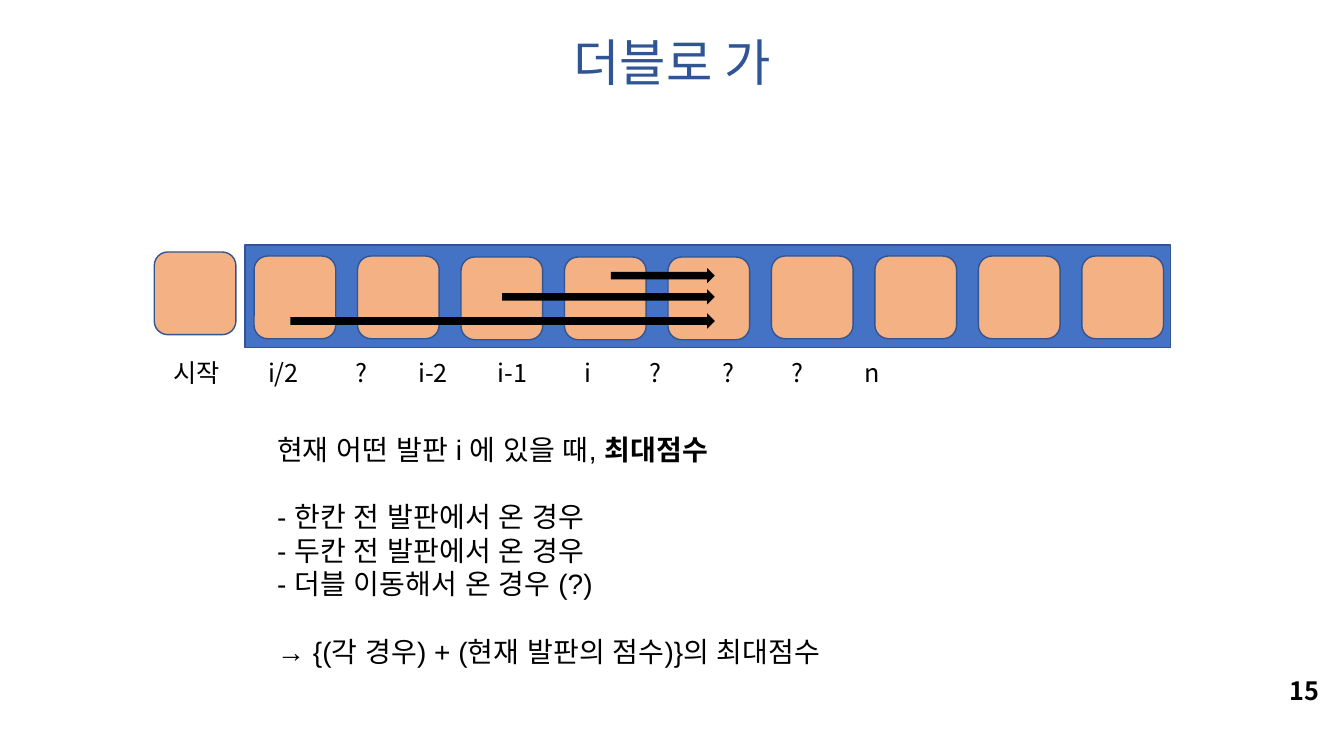
from pptx import Presentation
from pptx.dml.color import RGBColor
from pptx.enum.shapes import MSO_SHAPE as Kind
from pptx.enum.text import MSO_ANCHOR as Anchor, PP_ALIGN as Align
from pptx.oxml.ns import qn
from pptx.util import Inches, Pt
from lxml import etree

BLACK = RGBColor(0x00, 0x00, 0x00)
NAVY = RGBColor(0x2F, 0x55, 0x97)
EDGE = RGBColor(0x32, 0x54, 0x91)
BLUE = RGBColor(0x44, 0x72, 0xC4)
PEACH = RGBColor(0xF4, 0xB1, 0x83)
NOTO = "Noto Sans CJK KR"

PAD_W, PAD_H = 0.81, 0.82
PADS = 9
LABELS = ["시작", "i/2", "?", "i-2", "i-1", "i", "?", "?", "?", "n"]
# Tab stops of the labels, measured from the first one
STOPS = [0.94, 1.81, 2.43, 3.22, 4.08, 4.72, 5.45, 6.13, 6.86]
# Text and space before, in points
LINES = [
    ([("현재 어떤 발판 i 에 있을 때, ", False), ("최대점수", True)], 0),
    ([("- 한칸 전 발판에서 온 경우", False)], 24),
    ([("- 두칸 전 발판에서 온 경우", False)], 0),
    ([("- 더블 이동해서 온 경우 (?)", False)], 0),
    ([("→ {(각 경우) + (현재 발판의 점수)}의 최대점수", False)], 24),
]


def write(para, text, size=18, font=NOTO, color=BLACK, bold=False):
    run = para.add_run()
    run.text = text
    run.font.size = Pt(size)
    run.font.name = font
    run.font.bold = bold
    run.font.color.rgb = color
    east = etree.SubElement(run.font._element, qn("a:ea"))
    east.set("typeface", font)


def add_text(slide, left, top, width, height, wrap=True):
    box = slide.shapes.add_textbox(*map(Inches, (left, top, width, height)))
    box.text_frame.word_wrap = wrap
    return box.text_frame


def add_form(slide, kind, left, top, width, height, fill, line=None):
    form = slide.shapes.add_shape(
        kind, *map(Inches, (left, top, width, height)))
    form.shadow.inherit = False
    form.fill.solid()
    form.fill.fore_color.rgb = fill
    if line is None:
        form.line.fill.background()
    else:
        form.line.color.rgb = line
        form.line.width = Pt(1)


def add_title(slide, left, top, width, height):
    title = slide.shapes.title
    title.left, title.top, title.width, title.height = map(
        Inches, (left, top, width, height))
    frame = title.text_frame
    frame.vertical_anchor = Anchor.TOP
    para = frame.paragraphs[0]
    para.alignment = Align.CENTER
    para.line_spacing = 0.9
    write(para, "더블로 가", size=36, color=NAVY)


def add_board(slide, left, top, width, height):
    # Start pad and blue track
    add_form(slide, Kind.ROUNDED_RECTANGLE, left - 0.9, top + 0.07,
             PAD_W, PAD_H, PEACH, EDGE)
    add_form(slide, Kind.RECTANGLE, left, top, width, height, BLUE, EDGE)

    # Pads on the track; the middle three sit slightly lower
    first = left + 0.09
    step = (width - 0.16 - PAD_W) / (PADS - 1)
    for i in range(PADS):
        drop = 0.12 if i in (2, 3, 4) else 0.11
        add_form(slide, Kind.ROUNDED_RECTANGLE, first + i * step, top + drop,
                 PAD_W, PAD_H, PEACH, EDGE)

    # Jumps that all end on pad i
    tip = left + 4.66
    for drop, size in ((0.23, 1.03), (0.44, 2.11), (0.68, 4.21)):
        add_form(slide, Kind.RIGHT_ARROW, tip - size, top + drop,
                 size, 0.15, BLACK)


def add_labels(slide, left, top, width, height):
    para = add_text(slide, left, top, width, height).paragraphs[0]
    tabs = etree.SubElement(para._p.get_or_add_pPr(), qn("a:tabLst"))
    for stop in STOPS:
        tab = etree.SubElement(tabs, qn("a:tab"))
        tab.set("pos", str(Inches(stop)))
        tab.set("algn", "l")
    write(para, "\t".join(LABELS))


def add_notes(slide, left, top, width, height):
    frame = add_text(slide, left, top, width, height)
    for i, (parts, gap) in enumerate(LINES):
        para = frame.add_paragraph() if i else frame.paragraphs[0]
        if gap:
            para.space_before = Pt(gap)
        for text, bold in parts:
            write(para, text, size=20, font="Arial", bold=bold)


def add_number(slide, left, top, width, height):
    frame = add_text(slide, left, top, width, height, wrap=False)
    write(frame.paragraphs[0], "15", bold=True)


def main():
    deck = Presentation()
    deck.slide_width, deck.slide_height = Inches(13.33), Inches(7.5)
    slide = deck.slides.add_slide(deck.slide_layouts[5])
    add_title(slide, 0, 0.33, 13.33, 0.71)
    add_board(slide, 2.43, 2.43, 9.18, 1.02)
    add_labels(slide, 1.62, 3.5, 11.02, 0.4)
    add_notes(slide, 2.65, 4.24, 6.35, 2.46)
    add_number(slide, 12.69, 6.65, 0.53, 0.4)
    deck.save("out.pptx")


if __name__ == "__main__":
    main()
